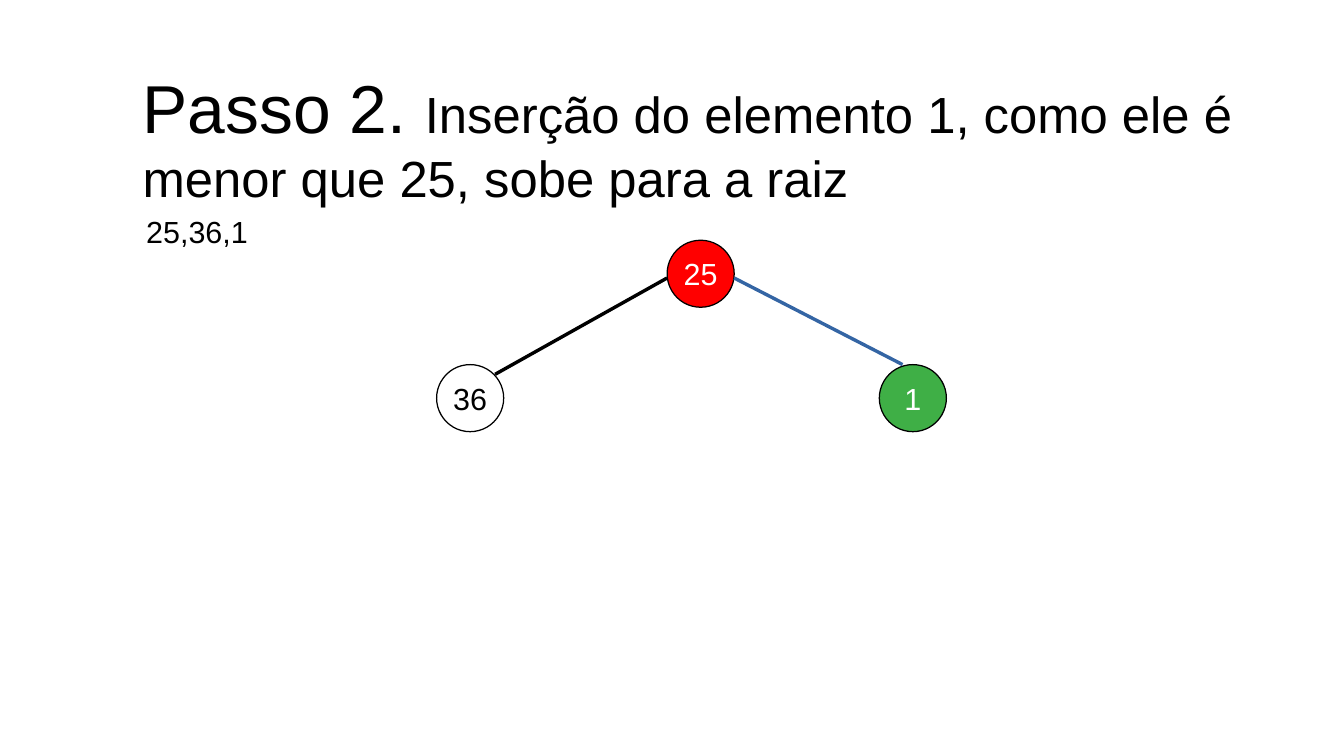
import pptx
import pptx.util
import pptx.dml.color
import pptx.enum.shapes
import pptx.enum.text
from lxml import etree

Inches = pptx.util.Inches
DIAMETER = 0.55
ROOT_TOP, CHILD_TOP = 1.97, 2.99
ROOT_LEFT, LEFT_CHILD, RIGHT_CHILD = 5.47, 3.58, 7.21
BRANCH_TOP = 2.28


def color(hex_value):
    return pptx.dml.color.RGBColor.from_string(hex_value)


def write(paragraph, text, size, hex_value="000000"):
    """Append a formatted Arial run to the paragraph."""
    run = paragraph.add_run()
    run.text = text
    for attribute, value in {"name": "Arial", "size": pptx.util.Pt(size)}.items():
        setattr(run.font, attribute, value)
    run.font.color.rgb = color(hex_value)


prs = pptx.Presentation()
prs.slide_width, prs.slide_height = Inches(11.02), Inches(6.2)
slide = prs.slides.add_slide(prs.slide_layouts[5])

# Title
title = slide.shapes.title
title_box = {"left": 1.07, "top": 0.49, "width": 9.4, "height": 1.18}
for side, length in title_box.items():
    setattr(title, side, Inches(length))
heading = title.text_frame
heading_format = {
    "word_wrap": True,
    "vertical_anchor": pptx.enum.text.MSO_ANCHOR.TOP,
    "auto_size": pptx.enum.text.MSO_AUTO_SIZE.SHAPE_TO_FIT_TEXT,
}
for attribute, value in heading_format.items():
    setattr(heading, attribute, value)
heading.paragraphs[0].alignment = pptx.enum.text.PP_ALIGN.LEFT
write(heading.paragraphs[0], "Passo 2. ", 40)
write(heading.paragraphs[0],
      "Inserção do elemento 1, como ele é menor que 25, sobe para a raiz", 30)

# Inserted sequence
sequence = slide.shapes.add_textbox(Inches(1.1), Inches(1.7), Inches(3.62), Inches(0.66))
sequence.text_frame.word_wrap = True
write(sequence.text_frame.paragraphs[0], "25,36,1", 18)

# Tree nodes
nodes = [
    ("25", ROOT_LEFT, ROOT_TOP, "FF0000", "FFFFFF"),
    ("36", LEFT_CHILD, CHILD_TOP, "FFFFFF", "000000"),
    ("1", RIGHT_CHILD, CHILD_TOP, "3FAF46", "FFFFFF"),
]
for key, left, top, fill, ink in nodes:
    node = slide.shapes.add_shape(
        pptx.enum.shapes.MSO_SHAPE.OVAL,
        Inches(left), Inches(top), Inches(DIAMETER), Inches(DIAMETER))
    node.shadow.inherit = False
    node.fill.solid()
    node.fill.fore_color.rgb = color(fill)
    node.line.color.rgb = color("000000")
    node.line.width = 0
    node.text_frame.word_wrap = False
    node.text_frame.vertical_anchor = pptx.enum.text.MSO_ANCHOR.MIDDLE
    label = node.text_frame.paragraphs[0]
    label.alignment = pptx.enum.text.PP_ALIGN.CENTER
    write(label, key, 18, ink)

# Branches from the root to its children
branches = [
    (ROOT_LEFT, 4.06, 3.07, "000000"),
    (ROOT_LEFT + DIAMETER, 7.4, CHILD_TOP, "3465A4"),
]
for start, end, end_top, ink in branches:
    branch = slide.shapes.add_connector(
        pptx.enum.shapes.MSO_CONNECTOR.STRAIGHT,
        Inches(start), Inches(BRANCH_TOP), Inches(end), Inches(end_top))
    branch.line.color.rgb = color(ink)
    branch.line.width = 0
    properties = branch.line._get_or_add_ln().getparent()
    etree.SubElement(properties, pptx.oxml.ns.qn("a:effectLst"))

prs.save("out.pptx")
